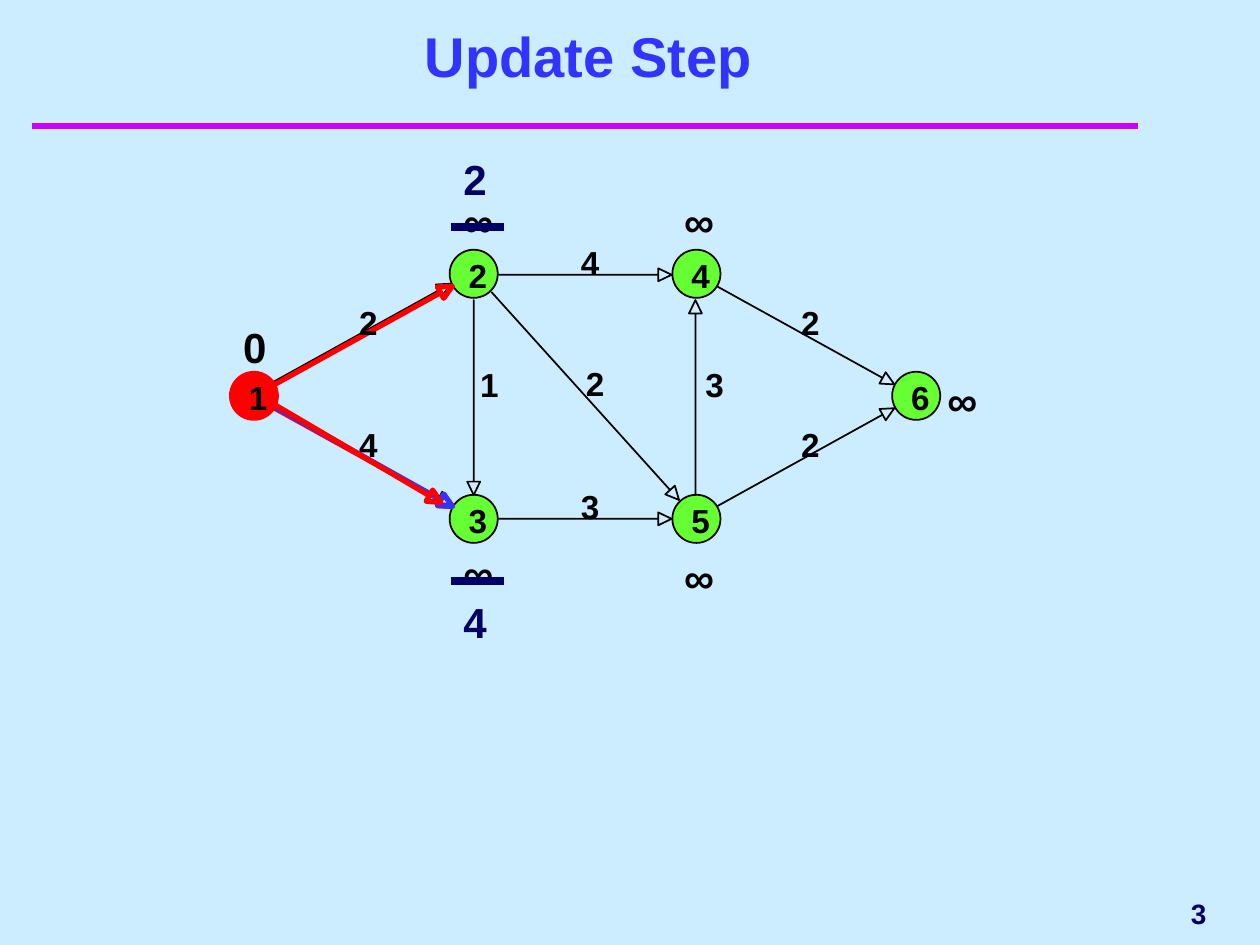
from math import hypot
from typing import NamedTuple, Optional

from lxml.etree import SubElement
from pptx import Presentation
from pptx.dml.color import RGBColor
from pptx.enum.shapes import MSO_CONNECTOR, MSO_SHAPE
from pptx.enum.text import MSO_ANCHOR as Anchor, MSO_AUTO_SIZE as AutoSize, PP_ALIGN as Align
from pptx.oxml.ns import qn
from pptx.util import Cm, Pt

BLACK = RGBColor(0x00, 0x00, 0x00)
RED = RGBColor(0xFF, 0x00, 0x00)
GREEN = RGBColor(0x66, 0xFF, 0x33)
BLUE = RGBColor(0x33, 0x33, 0xFF)
NAVY = RGBColor(0x00, 0x00, 0x66)
MAGENTA = RGBColor(0xCC, 0x00, 0xFF)
SKY = RGBColor(0xCC, 0xEC, 0xFF)

# All lengths are in centimetres.
DIAMETER = 0.97
HEAD_LENGTH, HEAD_HALF = 0.27, 0.13
COLUMNS = (5.12, 9.55, 14.04, 18.47)
TOP, MIDDLE, BOTTOM = 5.52, 7.98, 10.46


class Node(NamedTuple):
    name: str
    x: float
    y: float
    fill: RGBColor = GREEN
    line: RGBColor = BLACK


class Edge(NamedTuple):
    start: tuple[float, float]
    tip: tuple[float, float]
    color: RGBColor = BLACK
    width: float = 1
    weight: str = ""
    weight_at: Optional[tuple[float, float]] = None


class Distance(NamedTuple):
    text: str
    x: float
    y: float
    color: RGBColor = BLACK


SOURCE = Node("1", COLUMNS[0], MIDDLE, RED, RED)
NODES = (
    Node("2", COLUMNS[1], TOP),
    Node("3", COLUMNS[1], BOTTOM),
    Node("4", COLUMNS[2], TOP),
    Node("5", COLUMNS[2], BOTTOM),
    Node("6", COLUMNS[3], MIDDLE),
)
BASE_EDGES = (
    Edge((5.51, 7.7), (9.09, 5.72)),
    Edge((5.51, 8.18), (9.09, 10.16)),
)
EDGES = (
    Edge((5.54, 7.75), (9.12, 5.77), RED, 3, "2", (7.24, 6.1)),
    Edge((10.06, 5.54), (13.54, 5.54), weight="4", weight_at=(11.71, 4.88)),
    Edge((9.91, 5.89), (13.69, 10.08), weight="2", weight_at=(11.81, 7.32)),
    Edge((9.55, 6.05), (9.55, 9.98), weight="1", weight_at=(9.68, 7.34)),
    Edge((10.06, 10.46), (13.54, 10.46), weight="3", weight_at=(11.71, 9.8)),
    Edge((5.54, 8.23), (9.12, 10.21), RED, 3, "4", (7.24, 8.56)),
    Edge((14.45, 5.77), (18.03, 7.75), weight="2", weight_at=(16.15, 6.1)),
    Edge((14.02, 9.98), (14.02, 6.05), weight="3", weight_at=(14.22, 7.34)),
    Edge((14.45, 10.21), (18.03, 8.23), weight="2", weight_at=(16.15, 8.56)),
)
CANDIDATE_EDGE = Edge((5.54, 8.2), (9.12, 10.21), BLUE, 3)
CHOSEN_EDGE = Edge((5.49, 8.13), (8.89, 10.13), RED, 3)
DISTANCES = (
    Distance("2", 9.09, 2.97, NAVY),
    Distance("4", 9.09, 11.91, NAVY),
    Distance("0", 4.65, 6.35),
    Distance("∞", 9.09, 3.81),
    Distance("∞", 9.09, 10.92),
    Distance("∞", 13.54, 3.81),
    Distance("∞", 13.54, 11),
    Distance("∞", 18.85, 7.42),
)
STRIKE_ROWS = (4.57, 11.71)


def add_text(s, text: str, x: float, y: float, w: float, h: float, size: float,
             color: RGBColor, align=Align.LEFT, anchor=Anchor.TOP):
    tf = s.shapes.add_textbox(Cm(x), Cm(y), Cm(w), Cm(h)).text_frame
    tf.word_wrap = True
    tf.vertical_anchor = anchor
    p = tf.paragraphs[0]
    p.text = text
    p.alignment = align
    p.font.name = "Arial"
    p.font.size = Pt(size)
    p.font.bold = True
    p.font.color.rgb = color
    return tf


def add_digit(s, text: str, x: float, y: float) -> None:
    """Add a tight label for a node name or an edge weight."""
    tf = add_text(s, text, x, y, 0.38, 0.81, 19, BLACK)
    tf.margin_left = tf.margin_right = tf.margin_top = tf.margin_bottom = 0
    tf.word_wrap = False
    tf.auto_size = AutoSize.SHAPE_TO_FIT_TEXT


def add_distance(s, d: Distance) -> None:
    tf = add_text(s, d.text, d.x, d.y, 1.07, 1.27, 24, d.color)
    tf.auto_size = AutoSize.SHAPE_TO_FIT_TEXT
    tf.paragraphs[0].space_before = Pt(15)


def add_node(s, node: Node) -> None:
    r = DIAMETER / 2
    sp = s.shapes.add_shape(MSO_SHAPE.OVAL, Cm(node.x - r), Cm(node.y - r),
                            Cm(DIAMETER), Cm(DIAMETER))
    sp.shadow.inherit = False
    sp.fill.solid()
    sp.fill.fore_color.rgb = node.fill
    sp.line.color.rgb = node.line
    sp.line.width = Pt(1)
    add_digit(s, node.name, node.x - 0.1, node.y - 0.37)


def add_edge(s, edge: Edge) -> None:
    """Draw an outlined arrow whose open triangular head ends at the tip."""
    (x1, y1), (x2, y2) = edge.start, edge.tip
    length = hypot(x2 - x1, y2 - y1)
    ux, uy = (x2 - x1) / length, (y2 - y1) / length
    bx, by = x2 - HEAD_LENGTH * ux, y2 - HEAD_LENGTH * uy
    dx, dy = -uy * HEAD_HALF, ux * HEAD_HALF
    points = ((bx, by), (bx + dx, by + dy), edge.tip, (bx - dx, by - dy), (bx, by))
    builder = s.shapes.build_freeform(Cm(x1), Cm(y1))
    builder.add_line_segments([(Cm(x), Cm(y)) for x, y in points], close=True)
    sp = builder.convert_to_shape()
    sp.shadow.inherit = False
    sp.fill.background()
    sp.line.color.rgb = edge.color
    sp.line.width = Pt(edge.width)
    if edge.weight_at:
        add_digit(s, edge.weight, *edge.weight_at)


def add_rule(s, x1: float, x2: float, y: float, color: RGBColor, width: float) -> None:
    line = s.shapes.add_connector(MSO_CONNECTOR.STRAIGHT, Cm(x1), Cm(y), Cm(x2), Cm(y))
    line.line.color.rgb = color
    line.line.width = Pt(width)
    SubElement(line._element.spPr, qn("a:effectLst"))


def main() -> None:
    prs = Presentation()
    prs.slide_width, prs.slide_height = Cm(25.4), Cm(19.05)
    s = prs.slides.add_slide(prs.slide_layouts[6])
    s.background.fill.solid()
    s.background.fill.fore_color.rgb = SKY

    add_rule(s, 0.64, 22.94, 2.54, MAGENTA, 4)
    for edge in BASE_EDGES:
        add_edge(s, edge)
    add_text(s, "Update Step", 1.07, 0.84, 21.59, 1.07, 32, BLUE, Align.CENTER, Anchor.BOTTOM)
    for node in NODES:
        add_node(s, node)
    for edge in EDGES:
        add_edge(s, edge)
    for distance in DISTANCES:
        add_distance(s, distance)
    for y in STRIKE_ROWS:
        add_rule(s, 9.09, 10.16, y, NAVY, 4.5)
    add_edge(s, CANDIDATE_EDGE)
    add_node(s, SOURCE)
    add_edge(s, CHOSEN_EDGE)
    add_text(s, "3", 19.69, 17.78, 4.88, 1.27, 16, NAVY, Align.RIGHT, Anchor.MIDDLE)

    prs.save("out.pptx")


if __name__ == "__main__":
    main()
